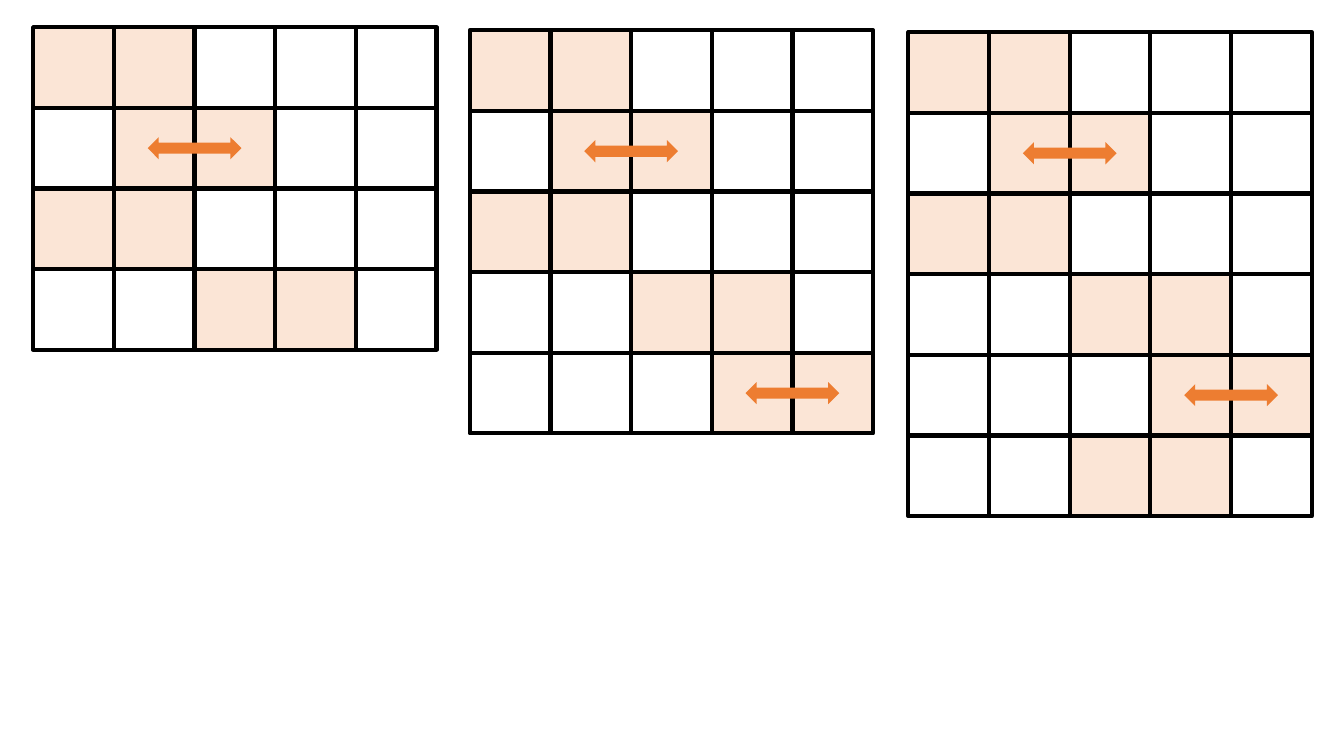
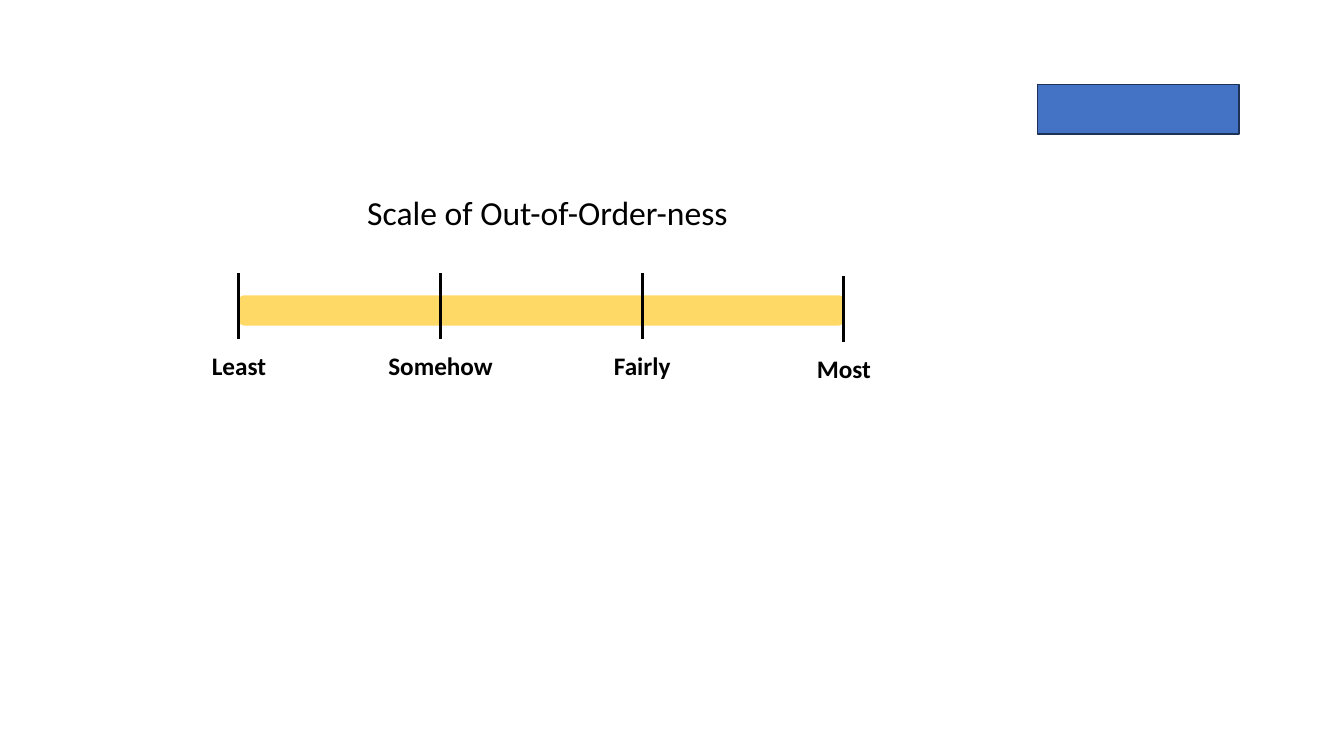
from pptx import Presentation
from pptx.dml.color import RGBColor
from pptx.enum.shapes import MSO_CONNECTOR, MSO_SHAPE
from pptx.enum.text import MSO_ANCHOR, PP_ALIGN
from pptx.oxml.ns import qn
from pptx.util import Inches, Pt
from lxml.etree import SubElement

FONT = "Calibri"
BLACK = "000000"
PEACH = "FBE5D6"
ORANGE = "ED7D31"
YELLOW = "FFD966"
BLUE = "4472C4"
NAVY = "1E3256"

TITLE_ONLY, BLANK = 5, 6
CELL = 0.8
COLUMNS = 5
ARROW_W, ARROW_H = 0.93, 0.22
PAIR_STARTS = (0, 1, 0, 2, 3, 2)
SWAP_ROWS = (1, 4)
GRIDS = ((0.33, 0.27, 4), (4.66, 0.3, 5), (9.01, 0.32, 6))

SCALE_LEFT, SCALE_STEP = 2.37, 2
TICK_TOP, TICK_H = 2.71, 0.65
LEVELS = (("Least", 0), ("Somehow", 0), ("Fairly", 0), ("Most", 0.03))


def rgb(value):
    return RGBColor.from_string(value)


def add_box(shapes, kind, x, y, w, h, fill=None, line=None, width=1):
    sp = shapes.add_shape(kind, Inches(x), Inches(y), Inches(w), Inches(h))
    sp.shadow.inherit = False
    if fill:
        sp.fill.solid()
        sp.fill.fore_color.rgb = rgb(fill)
    else:
        sp.fill.background()
    if line:
        sp.line.color.rgb = rgb(line)
        sp.line.width = Pt(width)
    else:
        sp.line.fill.background()
    return sp


def add_tick(shapes, x, y, h):
    ln = shapes.add_connector(MSO_CONNECTOR.STRAIGHT, Inches(x), Inches(y),
                              Inches(x), Inches(y + h))
    ln.line.color.rgb = rgb(BLACK)
    ln.line.width = Pt(2.25)
    SubElement(ln._element.spPr, qn("a:effectLst"))


def write(sp, text, size, bold=False):
    tf = sp.text_frame
    tf.word_wrap = False
    tf.vertical_anchor = MSO_ANCHOR.MIDDLE
    p = tf.paragraphs[0]
    p.alignment = PP_ALIGN.CENTER
    r = p.add_run()
    r.text = text
    r.font.name = FONT
    r.font.size = Pt(size)
    r.font.bold = bold
    r.font.color.rgb = rgb(BLACK)


def add_label(shapes, text, center, y):
    w = 1.24
    sp = shapes.add_textbox(Inches(center - w / 2), Inches(y), Inches(w), Inches(0.4))
    write(sp, text, 18, True)


def add_grid(slide, left, top, rows):
    shapes = slide.shapes.add_group_shape().shapes
    for row, start in enumerate(PAIR_STARTS[:rows]):
        y = top + row * CELL
        for col in range(COLUMNS):
            fill = PEACH if col in (start, start + 1) else None
            add_box(shapes, MSO_SHAPE.RECTANGLE, left + col * CELL, y,
                    CELL, CELL, fill, BLACK, 3)
        if row in SWAP_ROWS:
            add_box(shapes, MSO_SHAPE.LEFT_RIGHT_ARROW,
                    left + (start + 1) * CELL - ARROW_W / 2,
                    y + (CELL - ARROW_H) / 2, ARROW_W, ARROW_H, ORANGE)


def add_scale(slide):
    shapes = slide.shapes.add_group_shape().shapes
    add_box(shapes, MSO_SHAPE.FLOWCHART_ALTERNATE_PROCESS, SCALE_LEFT, 2.93,
            SCALE_STEP * (len(LEVELS) - 1), 0.3, YELLOW)
    for i, (name, drop) in enumerate(LEVELS):
        x = SCALE_LEFT + i * SCALE_STEP
        add_tick(shapes, x, TICK_TOP + drop, TICK_H)
        add_label(shapes, name, x, 3.43 + drop)


def set_title(slide, text, x, y, w, h):
    sp = slide.shapes.title
    sp.left, sp.top, sp.width, sp.height = (Inches(v) for v in (x, y, w, h))
    write(sp, text, 24)


def main():
    prs = Presentation()
    prs.slide_width, prs.slide_height = Inches(13.33), Inches(7.5)

    grids = prs.slides.add_slide(prs.slide_layouts[BLANK])
    for left, top, rows in GRIDS:
        add_grid(grids, left, top, rows)

    scale = prs.slides.add_slide(prs.slide_layouts[TITLE_ONLY])
    set_title(scale, "Scale of Out-of-Order-ness", 3.51, 1.85, 3.84, 0.5)
    add_box(scale.shapes, MSO_SHAPE.RECTANGLE, 10.29, 0.84, 2, 0.49, BLUE, NAVY)
    add_scale(scale)

    prs.save("out.pptx")


if __name__ == "__main__":
    main()
